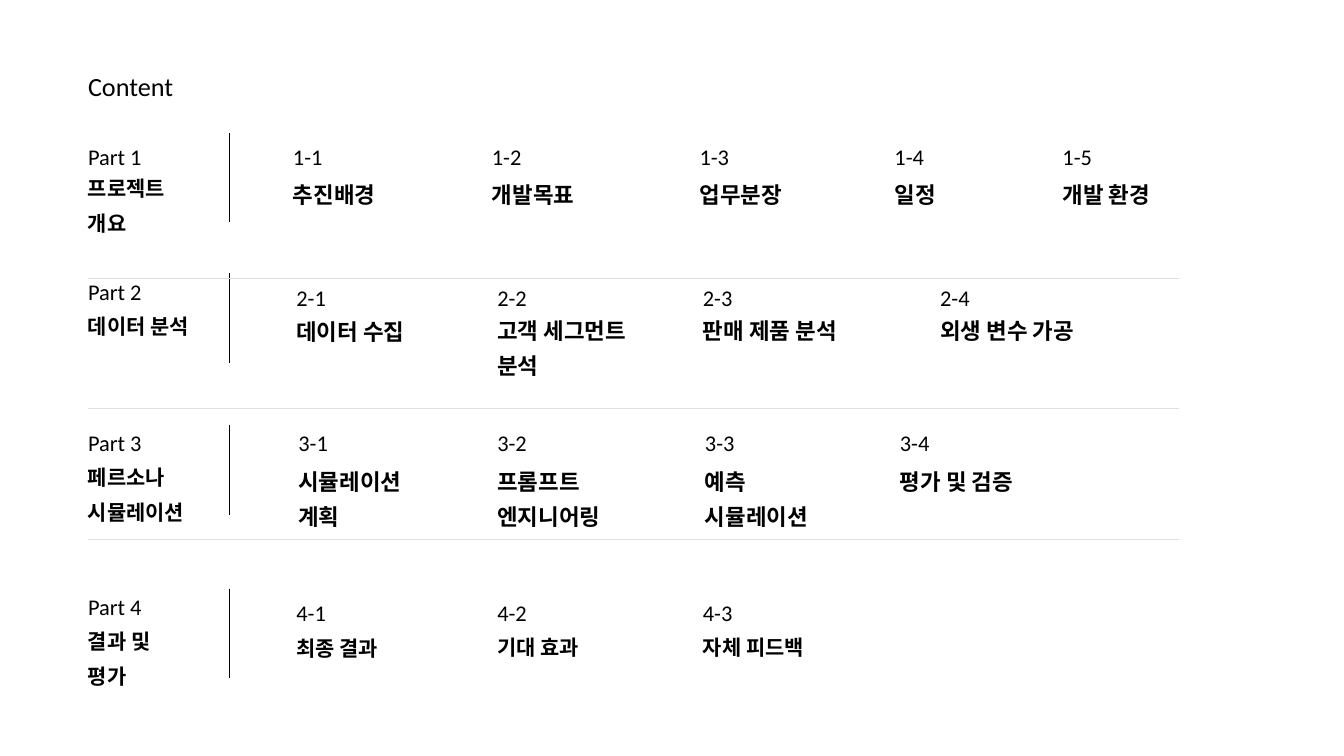
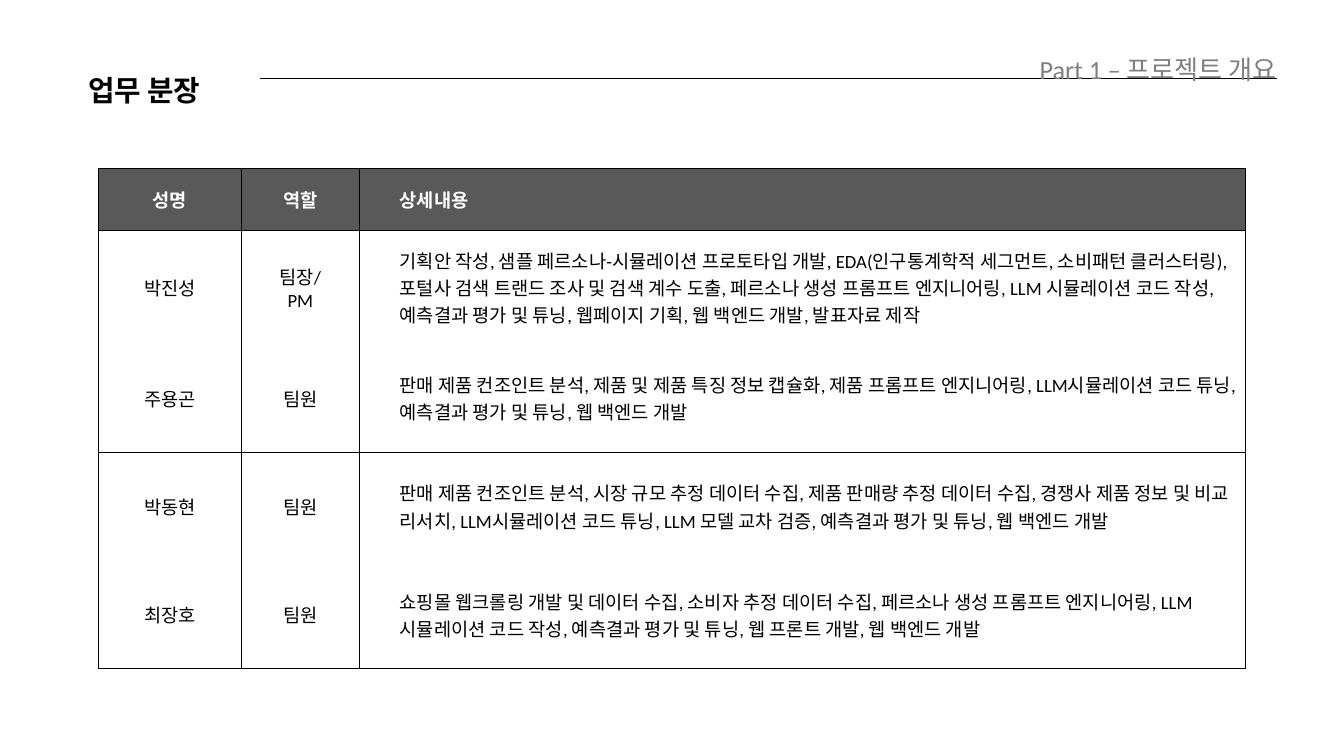
from dataclasses import dataclass

from lxml import etree
from pptx import Presentation
from pptx.dml.color import RGBColor
from pptx.enum.shapes import MSO_CONNECTOR
from pptx.enum.text import MSO_ANCHOR, MSO_AUTO_SIZE, PP_ALIGN
from pptx.oxml.ns import qn
from pptx.util import Inches, Pt

LINE = MSO_CONNECTOR.STRAIGHT
TOP, MIDDLE = MSO_ANCHOR.TOP, MSO_ANCHOR.MIDDLE
GROW = MSO_AUTO_SIZE.SHAPE_TO_FIT_TEXT
LEFT, CENTER, RIGHT = PP_ALIGN.LEFT, PP_ALIGN.CENTER, PP_ALIGN.RIGHT

COLORS = {
    "ink": "000000",
    "white": "FFFFFF",
    "rule": "DFDFDF",
    "head": "595959",
    "note": "7F7F7F",
}
BODY, HEAD = "Calibri", "Arial"
EDGE = 1.31
HAIR = 0.75


@dataclass
class Style:
    size: float
    bold: bool = False
    color: str = "ink"
    font: str = BODY
    space: float | None = 1.4
    align: PP_ALIGN = LEFT


@dataclass
class Item:
    left: float
    width: float
    text: str
    drop: float = 0


@dataclass
class Part:
    name: str
    top: float
    name_top: float
    bar_top: float
    code_top: float
    item_top: float
    style: Style
    items: list[Item]


CODE = Style(24)
NAME = Style(22.4, bold=True)
ITEM = Style(24, bold=True, space=1.3)
CELL = Style(20, space=None)

PARTS = [
    Part("프로젝트\n개요", 1.97, 2.47, 1.98, 1.97, 2.58, ITEM, [
        Item(4.36, 3.23, "추진배경"),
        Item(7.32, 3.23, "개발목표"),
        Item(10.41, 2.94, "업무분장"),
        Item(13.31, 2.19, "일정"),
        Item(15.81, 2.19, "개발 환경"),
    ]),
    Part("데이터 분석", 3.98, 4.52, 4.07, 4.07, 4.6, ITEM, [
        Item(4.41, 3.23, "데이터 수집", 0.02),
        Item(7.4, 3.07, "고객 세그먼트\n분석"),
        Item(10.46, 3.19, "판매 제품 분석"),
        Item(13.99, 3.19, "외생 변수 가공"),
    ]),
    Part("페르소나\n시뮬레이션", 6.23, 6.77, 6.33, 6.23, 6.84, ITEM, [
        Item(4.44, 1.88, "시뮬레이션\n계획"),
        Item(7.4, 2.11, "프롬프트\n엔지니어링"),
        Item(10.49, 2.94, "예측\n시뮬레이션"),
        Item(13.39, 2.19, "평가 및 검증"),
    ]),
    Part("결과 및\n평가", 8.67, 9.21, 8.76, 8.76, 9.29, NAME, [
        Item(4.41, 2.29, "최종 결과", 0.02),
        Item(7.4, 3.07, "기대 효과"),
        Item(10.46, 3.19, "자체 피드백"),
    ]),
]
RULES = (4.14, 6.07, 8.02)

TEAM = [
    ("성명", "역할", "상세내용"),
    ("박진성", "팀장/\nPM",
     "기획안 작성, 샘플 페르소나-시뮬레이션 프로토타입 개발, EDA(인구통계학적 세그먼트, "
     "소비패턴 클러스터링), 포털사 검색 트랜드 조사 및 검색 계수 도출, 페르소나 생성 "
     "프롬프트 엔지니어링, LLM 시뮬레이션 코드 작성, 예측결과 평가 및 튜닝, "
     "웹페이지 기획, 웹 백엔드 개발, 발표자료 제작"),
    ("주용곤", "팀원",
     "판매 제품 컨조인트 분석, 제품 및 제품 특징 정보 캡슐화, 제품 프롬프트 엔지니어링, "
     "LLM시뮬레이션 코드 튜닝, 예측결과 평가 및 튜닝, 웹 백엔드 개발"),
    ("박동현", "팀원",
     "판매 제품 컨조인트 분석, 시장 규모 추정 데이터 수집, 제품 판매량 추정 데이터 수집, "
     "경쟁사 제품 정보 및 비교 리서치, LLM시뮬레이션 코드 튜닝, LLM 모델 교차 검증, "
     "예측결과 평가 및 튜닝, 웹 백엔드 개발"),
    ("최장호", "팀원",
     "쇼핑몰 웹크롤링 개발 및 데이터 수집, 소비자 추정 데이터 수집, 페르소나 생성 "
     "프롬프트 엔지니어링, LLM 시뮬레이션 코드 작성, 예측결과 평가 및 튜닝, "
     "웹 프론트 개발, 웹 백엔드 개발"),
]
WIDTHS = (2.12, 1.76, 13.18)
HEIGHTS = (0.93, 1.69, 1.61, 1.61, 1.61)
LINED = (0, 1, 3, 5)  # row edges that carry a horizontal line


def rgb(name: str) -> RGBColor:
    return RGBColor.from_string(COLORS[name])


def write(frame, text: str, style: Style) -> None:
    frame.text = text
    for para in frame.paragraphs:
        para.alignment = style.align
        if style.space:
            para.line_spacing = style.space
        for run in para.runs:
            font = run.font
            font.name, font.size, font.bold = style.font, Pt(style.size), style.bold
            font.color.rgb = rgb(style.color)


def fit(shape, text: str, style: Style) -> None:
    """Write into a shape that has no margins and grows with its text."""
    frame = shape.text_frame
    write(frame, text, style)
    frame.word_wrap = True
    frame.vertical_anchor = TOP
    frame.margin_left = frame.margin_right = 0
    frame.margin_top = frame.margin_bottom = 0
    frame.auto_size = GROW


def add_text(slide, left: float, top: float, width: float, height: float,
             text: str, style: Style) -> None:
    box = slide.shapes.add_textbox(*map(Inches, (left, top, width, height)))
    fit(box, text, style)


def add_line(slide, x1: float, y1: float, x2: float, y2: float,
             color: str = "ink") -> None:
    line = slide.shapes.add_connector(LINE, *map(Inches, (x1, y1, x2, y2)))
    line.line.color.rgb = rgb(color)
    line.line.width = Pt(HAIR)
    etree.SubElement(line._element.spPr, qn("a:effectLst"))


def add_slide(deck, title: str, top: float, height: float, style: Style):
    slide = deck.slides.add_slide(deck.slide_layouts[5])
    head = slide.shapes.title
    head.left, head.top = Inches(EDGE), Inches(top)
    head.width, head.height = Inches(4.09), Inches(height)
    fit(head, title, style)
    return slide


def add_part(slide, index: int, part: Part) -> None:
    add_line(slide, 3.42, part.bar_top, 3.42, part.bar_top + 1.33)
    add_text(slide, EDGE, part.top, 1.18, 0.4, f"Part {index}", CODE)
    add_text(slide, EDGE, part.name_top, 1.56, 0.9, part.name, NAME)
    for number, item in enumerate(part.items, 1):
        add_text(slide, item.left, part.code_top, 1.09, 0.4,
                 f"{index}-{number}", CODE)
        height = 0.93 if "\n" in item.text else 0.4
        add_text(slide, item.left, part.item_top + item.drop, item.width, height,
                 item.text, part.style)


def set_edge(cell, tag: str, width: float) -> None:
    """Draw one cell border; a width of 0 hides it."""
    edge = etree.SubElement(cell._tc.get_or_add_tcPr(), qn(f"a:{tag}"),
                            w=str(Pt(width)))
    if width:
        fill = etree.SubElement(edge, qn("a:solidFill"))
        etree.SubElement(fill, qn("a:srgbClr"), val=COLORS["ink"])
    else:
        etree.SubElement(edge, qn("a:noFill"))


def add_cell(cell, row: int, col: int, text: str) -> None:
    set_edge(cell, "lnL", 1 if col else HAIR)
    set_edge(cell, "lnR", HAIR if col == 2 else 1)
    set_edge(cell, "lnT", HAIR if row in LINED else 0)
    set_edge(cell, "lnB", HAIR if row + 1 in LINED else 0)
    align = LEFT if col == 2 else CENTER
    if row == 0:
        cell.fill.solid()
        cell.fill.fore_color.rgb = rgb("head")
        style = Style(20, True, "white", HEAD, None, align)
    else:
        cell.fill.background()
        style = Style(CELL.size, space=None, align=align)
    cell.vertical_anchor = MIDDLE
    write(cell.text_frame, text, style)
    if col == 2:
        para = cell.text_frame.paragraphs[0]
        para.level = 1
        props = para._p.get_or_add_pPr()
        props.set("marL", str(Inches(0.5)))
        props.set("indent", "0")


def add_team(slide) -> None:
    frame = slide.shapes.add_table(
        len(TEAM), len(WIDTHS), Inches(1.47), Inches(2.5),
        Inches(sum(WIDTHS)), Inches(sum(HEIGHTS)))
    table = frame.table
    table.first_row = table.horz_banding = False
    for col, width in zip(table.columns, WIDTHS):
        col.width = Inches(width)
    for row, height in zip(table.rows, HEIGHTS):
        row.height = Inches(height)
    for row, texts in enumerate(TEAM):
        for col, text in enumerate(texts):
            add_cell(table.cell(row, col), row, col, text)


def main() -> None:
    deck = Presentation()
    deck.slide_width, deck.slide_height = Inches(20), Inches(11.25)

    slide = add_slide(deck, "Content", 0.86, 0.5, Style(28.1))
    for index, part in enumerate(PARTS, 1):
        add_part(slide, index, part)
    for y in RULES:
        add_line(slide, EDGE, y, 17.54, y, "rule")

    slide = add_slide(deck, "업무 분장", 0.87, 0.56, Style(30.9, bold=True))
    add_line(slide, 3.87, 1.17, 19, 1.17)
    add_text(slide, 12.66, 0.6, 6.34, 0.51, "Part 1 – 프로젝트 개요",
             Style(28, color="note", space=1.41, align=RIGHT))
    add_team(slide)

    deck.save("out.pptx")


if __name__ == "__main__":
    main()
